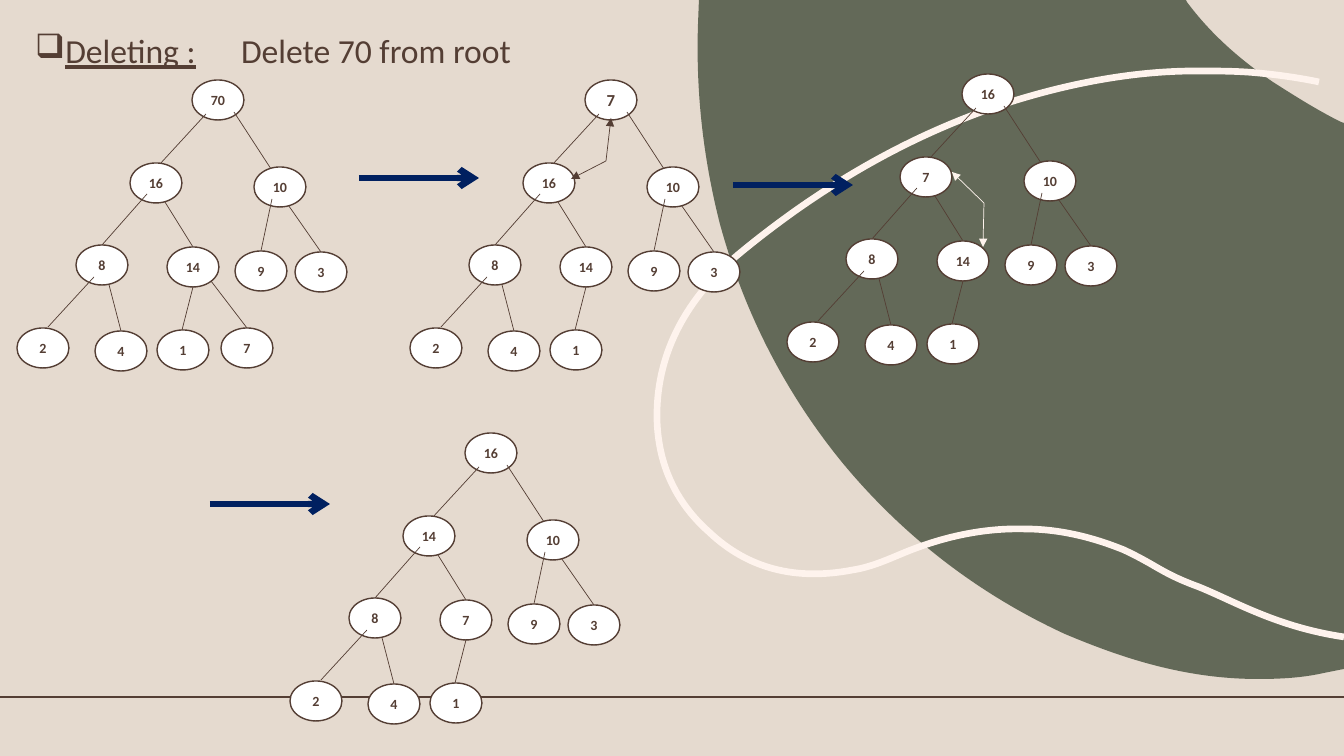
from pptx import Presentation, util as u
from pptx.dml.color import RGBColor
from pptx.enum import shapes as sh, text as tx
from pptx.oxml.ns import qn
from lxml import etree

THEME = dict(back="E5DACF", leaf="4E5745", wave="FEF3ED", ink="543E34",
             node="FFFFFF", move="002060", font="Calibri",
             title=24, key=10, big=12, thin=0.5, rim=1, rule=1.25, bold=4.5, curl=4.75)

# Content: each heap as a level-order list, with the corner of its root
HEAPS = [
    ((192, 80), [70, 16, 10, 8, 14, 9, 3, 2, 4, 1, 7], "key"),
    ((585, 80), [7, 16, 10, 8, 14, 9, 3, 2, 4, 1], "big"),
    ((962, 74), [16, 7, 10, 8, 14, 9, 3, 2, 4, 1], "key"),
    ((465, 433), [16, 14, 10, 8, 7, 9, 3, 2, 4, 1], "key"),
]
TITLE = [("Deleting :", True), ("\tDelete 70 from root", False)]
STEPS = [(359, 178), (733, 185), (210, 504)]
SWAPS = [("ink", (606, 161), [(611, 118), (571, 179)]),
         ("wave", (984, 203), [(983, 247), (952, 172)])]

# Heap slots: corner from root, edge start from parent corner, edge end from own corner
NODE = (52, 40)
SLOTS = [
    ((0, 0), None, None),
    ((-62, 83), (14, 34), (30, 1)), ((62, 87), (42, 32), (19, 5)),
    ((-116, 165), (17, 31), (26, 0)), ((-25, 167), (30, 31), (26, 0)),
    ((43, 171), (18, 32), (26, 0)), ((103, 172), (30, 32), (26, 0)),
    ((-175, 248), (18, 32), (31, -1)), ((-97, 251), (31, 32), (26, 0)),
    ((-35, 250), (26, 40), (23, 8)), ((29, 248), (44, 34), (26, 0)),
]

# Outlines: one point is a straight line, three points are a curve
LEAF = [
    [(699, 0)], [(1186, 0)], [(1187, 2)],
    [(1210, 33), (1239, 59), (1273, 82)], [(1301, 100), (1321, 112), (1341, 122)],
    [(1344, 123)], [(1344, 669)], [(1324, 673)],
    [(1302, 678), (1280, 679), (1258, 679)], [(1210, 679), (1165, 670), (1120, 655)],
    [(1102, 649), (1084, 642), (1065, 634)], [(976, 593), (901, 534), (841, 461)],
    [(782, 388), (743, 308), (720, 224)], [(703, 157), (696, 92), (698, 26)],
]
WAVE = [
    [(1344, 637)],
    [(1277, 627), (1236, 602), (1199, 587)], [(1161, 573), (1158, 566), (1124, 550)],
    [(1092, 537), (1059, 529), (1024, 529)], [(983, 528), (943, 537), (906, 552)],
    [(889, 559), (872, 567), (853, 570)], [(796, 581), (748, 569), (709, 532)],
    [(674, 501), (658, 462), (657, 419)], [(656, 356), (684, 303), (733, 259)],
    [(753, 242), (774, 226), (795, 211)], [(863, 163), (936, 125), (1017, 100)],
    [(1076, 82), (1137, 71), (1196, 71)], [(1217, 71), (1238, 71), (1258, 73)],
    [(1279, 75), (1300, 78), (1319, 82)],
]

UNIT = 914400 / 100.8


def px(n):
    return u.Emu(round(n * UNIT))


def tint(name):
    return RGBColor.from_string(THEME[name])


def add(a, b):
    return a[0] + b[0], a[1] + b[1]


def sub(top, tag, **attrs):
    return etree.SubElement(top, qn(tag), attrs)


def style(font, size):
    font.name, font.size = THEME["font"], u.Pt(THEME[size])
    font.color.rgb = tint("ink")


def stroke(line, color, width):
    line.color.rgb, line.width = tint(color), u.Pt(THEME[width])


def link(into, a, b, color="ink", width="thin", head=None):
    line = into.add_connector(sh.MSO_CONNECTOR.STRAIGHT, *map(px, a + b))
    stroke(line.line, color, width)
    if head:
        sub(line.line._get_or_add_ln(), "a:tailEnd", type=head)
    sub(line._element.spPr, "a:effectLst")


def outline(parts, close):
    dots = [(px(part[-1][0]), px(part[-1][1])) for part in parts]
    pen = slide.shapes.build_freeform(*dots[0], scale=1.0)
    pen.add_line_segments(dots[1:], close=close)
    shape = pen.convert_to_shape()
    shape.shadow.inherit = False
    # Turn the three-point parts into true curves
    legs = shape._element.spPr.findall(".//" + qn("a:lnTo"))
    for leg, part in zip(legs, parts[1:]):
        if len(part) == 3:
            curve = etree.Element(qn("a:cubicBezTo"))
            for x, y in part:
                sub(curve, "a:pt", x=str(px(x) - shape.left), y=str(px(y) - shape.top))
            leg.getparent().replace(leg, curve)
    return shape


def disc(into, at, key, size):
    shape = into.add_shape(sh.MSO_SHAPE.OVAL, *map(px, at + NODE))
    shape.shadow.inherit = False
    shape.fill.solid()
    shape.fill.fore_color.rgb = tint("node")
    stroke(shape.line, "ink", "rim")
    frame = shape.text_frame
    frame.margin_left = frame.margin_right = frame.margin_top = frame.margin_bottom = 0
    frame.vertical_anchor = tx.MSO_ANCHOR.MIDDLE
    para = frame.paragraphs[0]
    para.alignment = tx.PP_ALIGN.CENTER
    run = para.add_run()
    run.text = str(key)
    style(run.font, size)
    run.font.bold = True


def heap(root, keys, size):
    into = slide.shapes.add_group_shape().shapes
    spots = [add(root, slot[0]) for slot in SLOTS]

    def edge(up, kid):
        if kid < len(keys):
            _, start, end = SLOTS[kid]
            link(into, add(spots[up], start), add(spots[kid], end))

    # Below the root, a right edge starts behind its parent
    for i, key in enumerate(keys):
        left, right = 2 * i + 1, 2 * i + 2
        if i:
            edge(i, right)
        disc(into, spots[i], key, "key" if i else size)
        edge(i, left)
        if not i:
            edge(i, right)


deck = Presentation()
deck.slide_width, deck.slide_height = px(1344), px(756)
slide = deck.slides.add_slide(deck.slide_layouts[5])

# Backdrop
slide.background.fill.solid()
slide.background.fill.fore_color.rgb = tint("back")
link(slide.shapes, (0, 697), (1344, 697), width="rule")
leaf = outline(LEAF, True)
leaf.fill.solid()
leaf.fill.fore_color.rgb = tint("leaf")
sub(leaf._element.spPr.find(".//" + qn("a:srgbClr")), "a:alpha", val="86000")
leaf.line.fill.background()
wave = outline(WAVE, False)
wave.fill.background()
stroke(wave.line, "wave", "curl")

# Title
title = slide.shapes.title
title.left, title.top, title.width, title.height = map(px, (25, 25, 506, 50))
frame = title.text_frame
frame.word_wrap = True
frame.auto_size = tx.MSO_AUTO_SIZE.NONE
frame.vertical_anchor = tx.MSO_ANCHOR.TOP
para = frame.paragraphs[0]
para.alignment = tx.PP_ALIGN.LEFT
props = para._p.get_or_add_pPr()
props.set("marL", str(px(30)))
props.set("indent", str(-px(30)))
sub(props, "a:buFont", typeface="Wingdings", charset="2")
sub(props, "a:buChar", char="q")
sub(sub(props, "a:tabLst"), "a:tab", pos=str(px(206)), algn="l")
for words, under in TITLE:
    run = para.add_run()
    run.text = words
    style(run.font, "title")
    run.font.underline = under

# Heaps, the steps between them and the swaps within them
for root, keys, size in HEAPS:
    heap(root, keys, size)
for x, y in STEPS:
    link(slide.shapes, (x, y), (x + 120, y), "move", "bold", "arrow")
for color, hub, ends in SWAPS:
    for end in ends:
        link(slide.shapes, hub, end, color, head="triangle")

deck.save("out.pptx")
